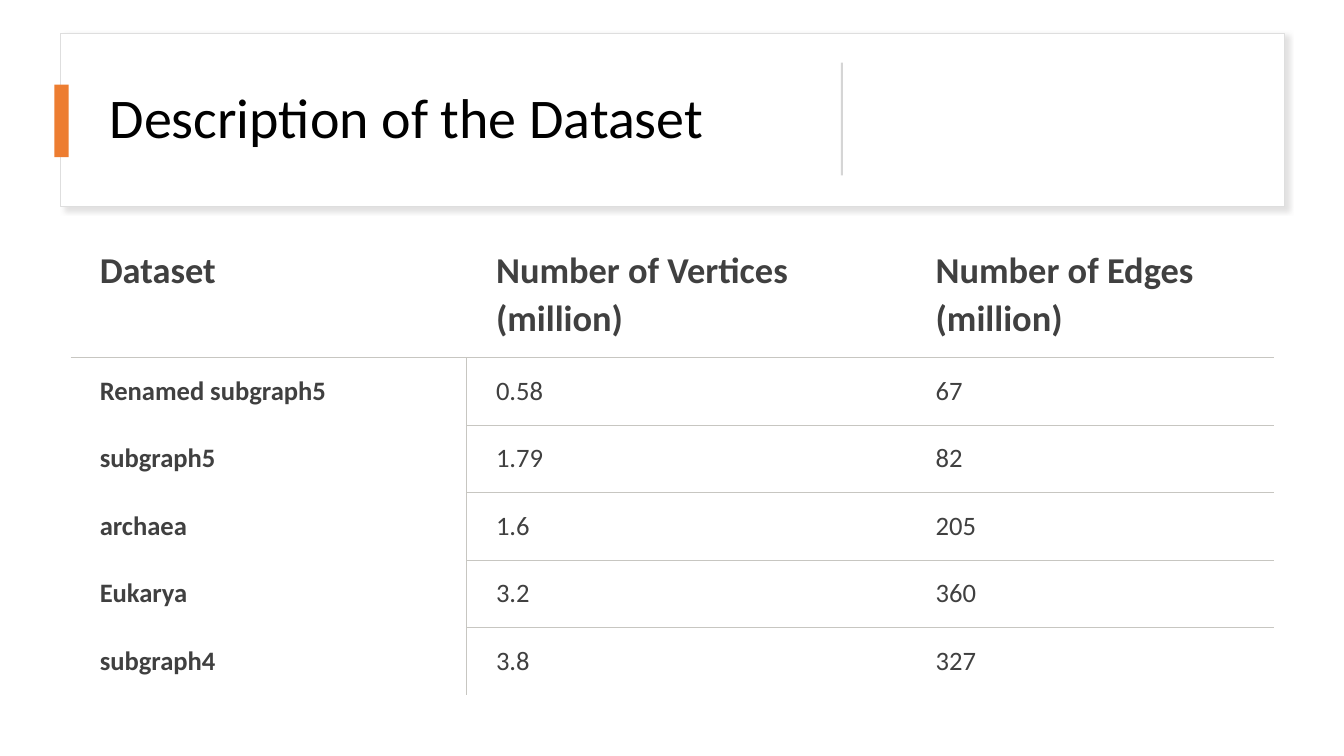
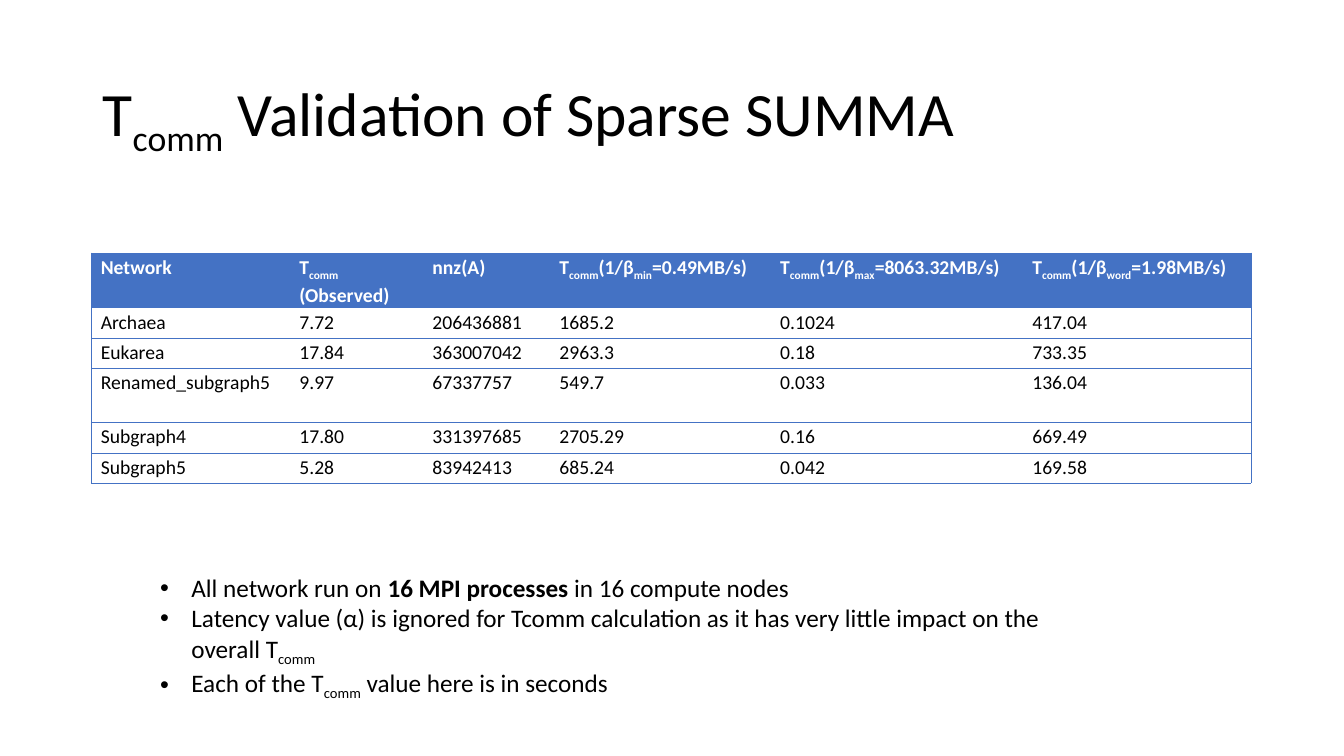
from dataclasses import dataclass

from lxml.etree import SubElement
from pptx import Presentation
from pptx.dml.color import RGBColor
from pptx.enum.shapes import MSO_SHAPE
from pptx.enum.text import MSO_ANCHOR
from pptx.oxml.ns import qn
from pptx.util import Inches, Pt


@dataclass(frozen=True)
class Theme:
    font: str = "Calibri"
    black: str = "000000"
    white: str = "FFFFFF"
    gray: str = "404040"
    rule: str = "C7C6C1"
    frame: str = "DEDEDE"
    split: str = "D5D5D5"
    shade: str = "C5C3C3"
    blue: str = "4472C4"
    orange: str = "ED7D31"
    title: int = 40
    big_title: int = 44
    head: int = 26
    body: int = 19
    small_cell: int = 14
    note: int = 18


THEME = Theme()


@dataclass(frozen=True)
class Look:
    """Style of one table; sides(row, col, last_row, last_col) names its ruled edges."""
    insets: tuple
    head_size: int
    head_color: str
    head_fill: str
    size: int
    color: str
    line: str
    width: float
    bold_names: bool
    sides: object


def open_sides(row, col, last_row, last_col):
    if row == 0:
        return "B"
    if col == 0:
        return "RT" if row == 1 else "R"
    return "T" + ("B" if row < last_row else "") + ("L" if col == 1 else "")


def boxed_sides(row, col, last_row, last_col):
    return "TB" + ("L" if col == 0 else "") + ("R" if col == last_col else "")


OPEN = Look((0.29, 0.15, 0.22, 0.15), THEME.head, THEME.gray, THEME.white,
            THEME.body, THEME.gray, THEME.rule, 0.75, True, open_sides)
BOXED = Look((0.09, 0.01, 0.09, 0), THEME.small_cell, THEME.white, THEME.blue,
             THEME.small_cell, THEME.black, THEME.blue, 0.5, False, boxed_sides)


def rgb(color):
    return RGBColor.from_string(color)


def write(para, text, size, color, bold=False, spacing=None):
    """Add runs to a paragraph: ~x~ is a subscript, *x* is bold."""
    if spacing:
        para.line_spacing = spacing
    for i, chunk in enumerate(text.split("~")):
        for j, part in enumerate(chunk.split("*")):
            if not part:
                continue
            run = para.add_run()
            run.text = part
            font = run.font
            font.name, font.size = THEME.font, Pt(size)
            font.bold = bold or j % 2 == 1
            font.color.rgb = rgb(color)
            if i % 2:
                run._r.get_or_add_rPr().set("baseline", "-25000")


def add_frame(slide, box):
    frame = slide.shapes.add_textbox(*map(Inches, box)).text_frame
    frame.word_wrap = True
    return frame


def add_title(slide, box, text, size):
    frame = add_frame(slide, box)
    frame.vertical_anchor = MSO_ANCHOR.MIDDLE
    write(frame.paragraphs[0], text, size, THEME.black, spacing=0.9)


def add_rect(slide, box, fill, line=None):
    rect = slide.shapes.add_shape(MSO_SHAPE.RECTANGLE, *map(Inches, box))
    rect.shadow.inherit = False
    rect.fill.solid()
    rect.fill.fore_color.rgb = rgb(fill)
    if line:
        rect.line.color.rgb = rgb(line)
        rect.line.width = Pt(1)
    else:
        rect.line.fill.background()
    return rect


def cast_shadow(shape):
    effects = shape._element.spPr.find(qn("a:effectLst"))
    shadow = SubElement(effects, qn("a:outerShdw"), blurRad=str(Pt(4)),
                        dist=str(Pt(3)), dir=str(45 * 60000), algn="tl")
    color = SubElement(shadow, qn("a:srgbClr"), val=THEME.shade)
    SubElement(color, qn("a:alpha"), val="50000")


def add_edges(cell, sides, color, width):
    """Rule the named sides of a cell and clear the others."""
    props = cell._tc.get_or_add_tcPr()
    for side in "LRTB":
        line = SubElement(props, qn("a:ln" + side), w=str(Pt(width)))
        if side in sides:
            fill = SubElement(line, qn("a:solidFill"))
            SubElement(fill, qn("a:srgbClr"), val=color)
        else:
            SubElement(line, qn("a:noFill"))


def fill_cell(cell, text, look, head, name, sides):
    add_edges(cell, sides, look.line, look.width)
    cell.fill.solid()
    cell.fill.fore_color.rgb = rgb(look.head_fill if head else THEME.white)
    (cell.margin_left, cell.margin_top,
     cell.margin_right, cell.margin_bottom) = map(Inches, look.insets)
    write(cell.text_frame.paragraphs[0], text,
          look.head_size if head else look.size,
          look.head_color if head else look.color,
          head or (name and look.bold_names), 1.07)


def add_grid(slide, spot, widths, heights, rows, look):
    size = sum(widths), sum(heights)
    table = slide.shapes.add_table(len(rows), len(widths),
                                   *map(Inches, spot + size)).table
    table.first_row = table.horz_banding = False
    for col, width in zip(table.columns, widths):
        col.width = Inches(width)
    for row, height in zip(table.rows, heights):
        row.height = Inches(height)
    for r, texts in enumerate(rows):
        for c, text in enumerate(texts):
            sides = look.sides(r, c, len(rows) - 1, len(widths) - 1)
            fill_cell(table.cell(r, c), text, look, r == 0, c == 0, sides)


def add_bullets(slide, box, items):
    frame = add_frame(slide, box)
    for i, item in enumerate(items):
        para = frame.add_paragraph() if i else frame.paragraphs[0]
        props = para._p.get_or_add_pPr()
        props.set("marL", str(Inches(0.31)))
        props.set("indent", str(-Inches(0.31)))
        SubElement(props, qn("a:buFont"), typeface="Arial")
        SubElement(props, qn("a:buChar"), char="•")
        write(para, item, THEME.note, THEME.black)


def add_data(slide):
    card = add_rect(slide, (0.6, 0.33, 12.14, 1.72), THEME.white, THEME.frame)
    cast_shadow(card)
    add_title(slide, (0.99, 0.44, 7.03, 1.5), "Description of the Dataset",
              THEME.title)
    add_rect(slide, (0.54, 0.84, 0.14, 0.72), THEME.orange)
    add_rect(slide, (8.34, 0.62, 0.02, 1.12), THEME.split)
    rows = [
        ("Dataset", "Number of Vertices (million)", "Number of Edges (million)"),
        ("Renamed subgraph5", "0.58", "67"),
        ("subgraph5", "1.79", "82"),
        ("archaea", "1.6", "205"),
        ("Eukarya", "3.2", "360"),
        ("subgraph4", "3.8", "327"),
    ]
    add_grid(slide, (0.7, 2.29), (3.93, 4.36, 3.65), [1.26] + [0.67] * 5,
             rows, OPEN)


def add_check(slide):
    add_title(slide, (0.92, 0.4, 11.5, 1.45),
              "T~comm~ Validation of Sparse SUMMA", THEME.big_title)
    rates = ("min", "0.49"), ("max", "8063.32"), ("word", "1.98")
    rows = [
        ("Network", "T~comm~ (Observed)", "nnz(A)",
         *(f"T~comm~(1/β~{kind}~={rate}MB/s)" for kind, rate in rates)),
        ("Archaea", "7.72", "206436881", "1685.2", "0.1024", "417.04"),
        ("Eukarea", "17.84", "363007042", "2963.3", "0.18", "733.35"),
        ("Renamed_subgraph5", "9.97", "67337757", "549.7", "0.033", "136.04"),
        ("Subgraph4", "17.80", "331397685", "2705.29", "0.16", "669.49"),
        ("Subgraph5", "5.28", "83942413", "685.24", "0.042", "169.58"),
    ]
    add_grid(slide, (0.91, 2.51), (1.97, 1.32, 1.26, 2.19, 2.5, 2.26),
             [0.54, 0.3, 0.3] * 2, [*rows], BOXED)
    add_bullets(slide, (1.49, 5.63, 9.47, 1.31), [
        "All network run on *16 MPI processes* in 16 compute nodes",
        "Latency value (α) is ignored for Tcomm calculation as it has very "
        "little impact on the overall T~comm~",
        "Each of the T~comm~ value here is in seconds",
    ])


def main():
    deck = Presentation()
    deck.slide_width, deck.slide_height = Inches(13.33), Inches(7.5)
    for build in (add_data, add_check):
        build(deck.slides.add_slide(deck.slide_layouts[6]))
    deck.save("out.pptx")


if __name__ == "__main__":
    main()
